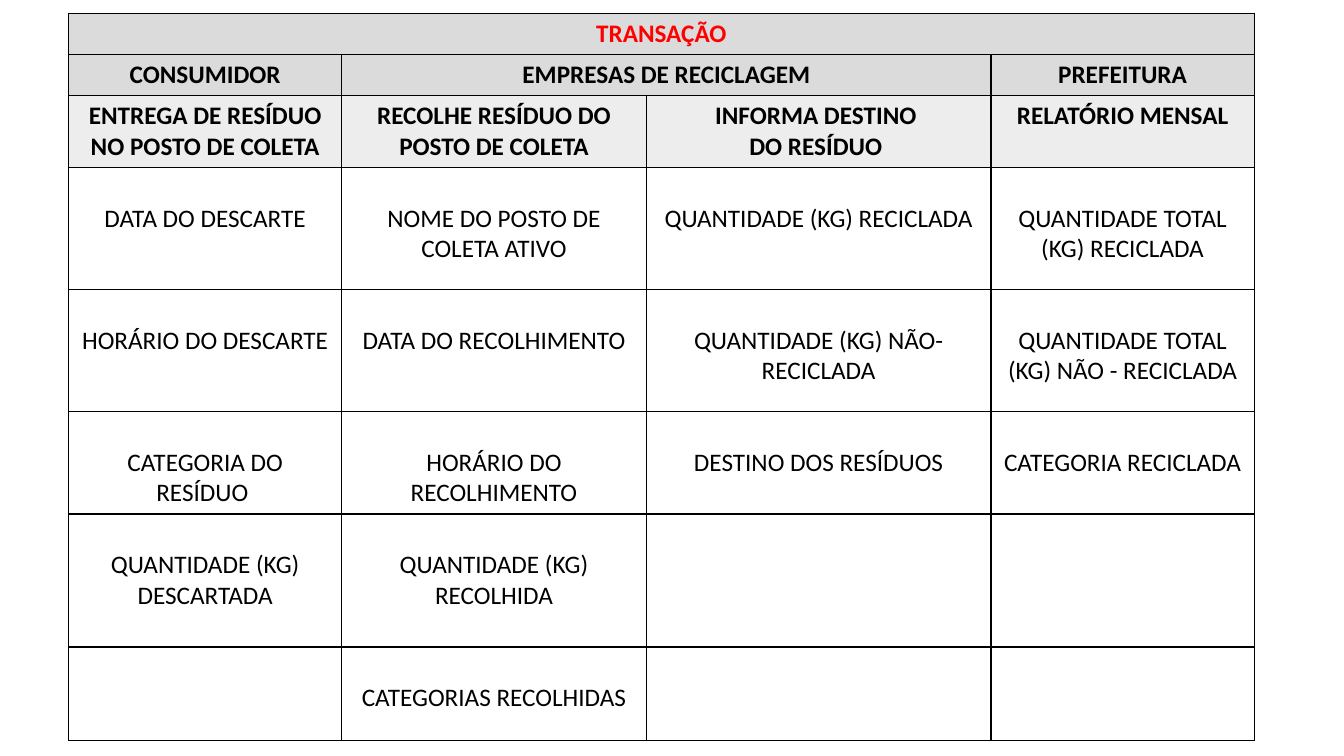
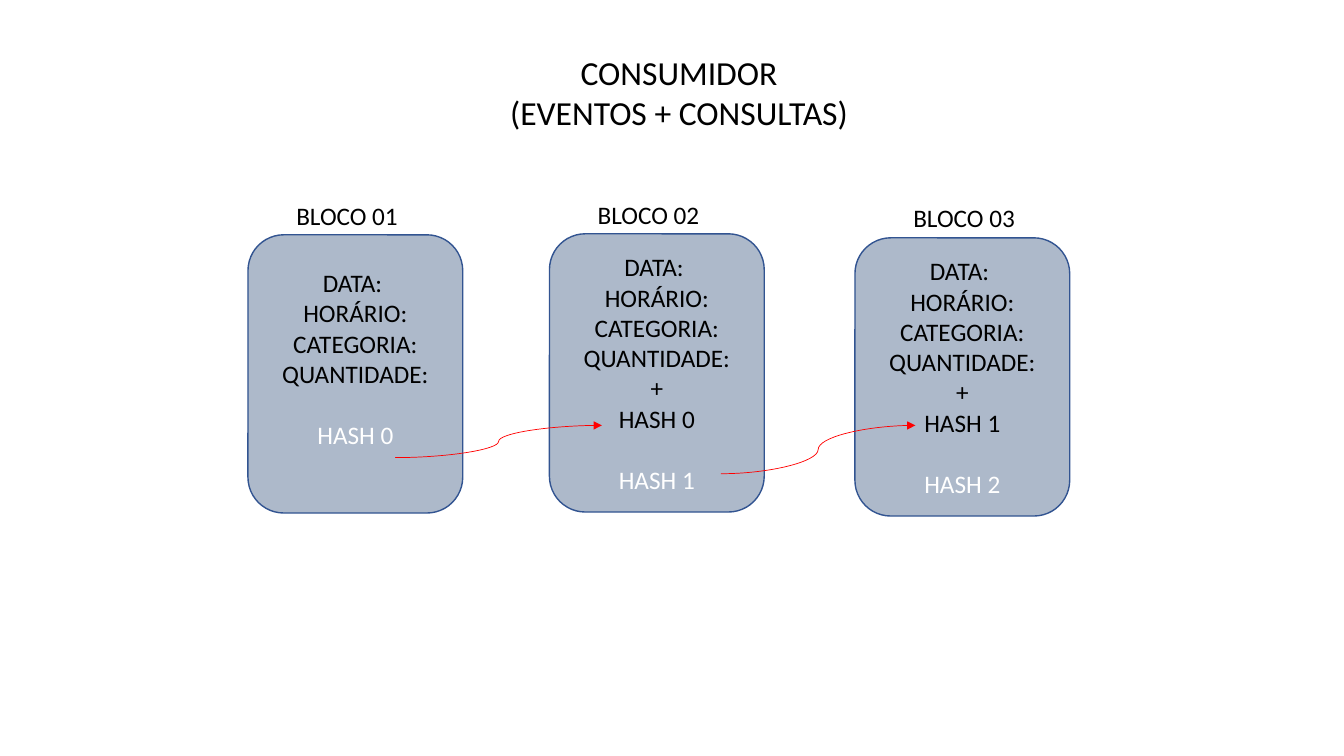
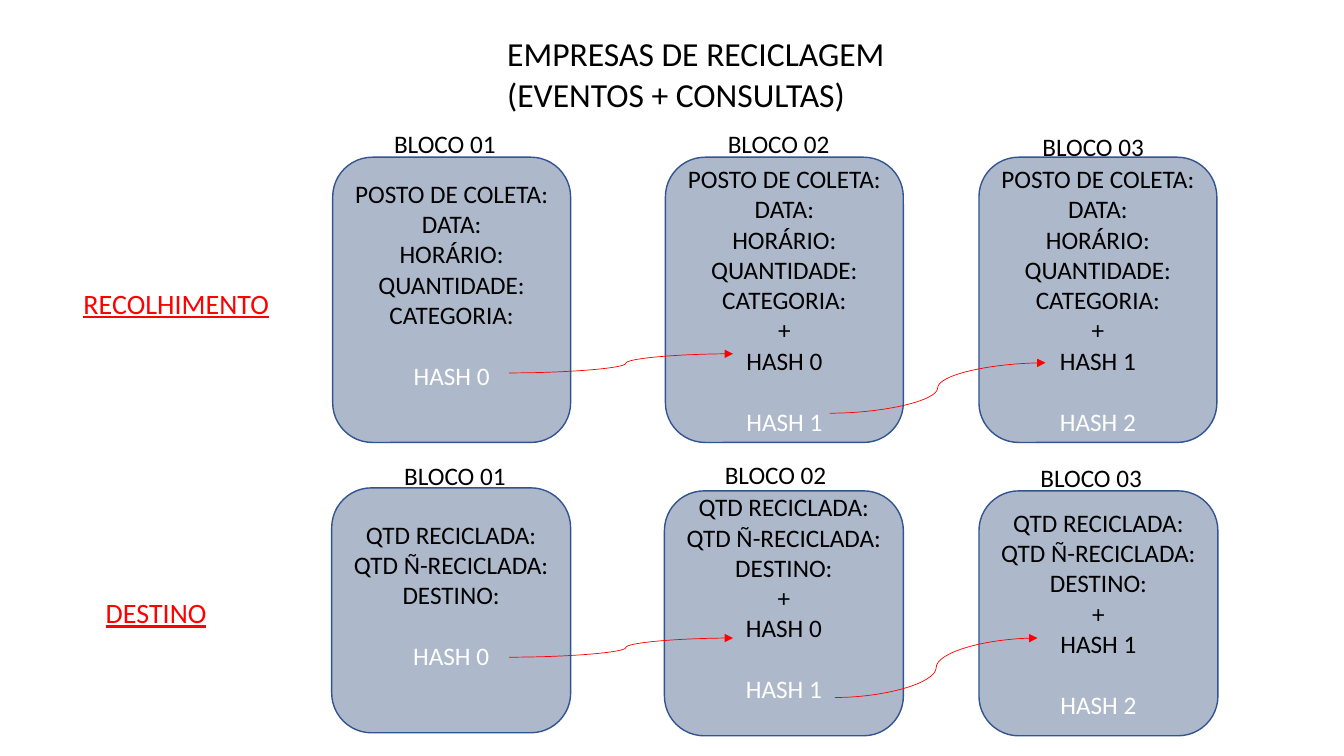
from lxml import etree
from pptx import Presentation
from pptx.dml.color import RGBColor
from pptx.enum.shapes import MSO_CONNECTOR, MSO_SHAPE
from pptx.enum.text import MSO_ANCHOR, PP_ALIGN
from pptx.oxml.ns import qn
from pptx.util import Inches, Pt

CURVE = MSO_CONNECTOR.CURVE
ROUNDED = MSO_SHAPE.ROUNDED_RECTANGLE
TOP, MIDDLE = MSO_ANCHOR.TOP, MSO_ANCHOR.MIDDLE
LEFT, CENTER = PP_ALIGN.LEFT, PP_ALIGN.CENTER
BLACK, WHITE, RED = "000000", "FFFFFF", "FF0000"
BLOCK_FILL, BLOCK_LINE = "ADB9CA", "325491"
HEADING_FILL, SUBHEADING_FILL = "DBDBDB", "EDEDED"
FONT = "Calibri"
LINE_HEIGHT = Pt(22)
INSET = Inches(0.05)


def color(value):
    return RGBColor.from_string(value)


def write(frame, lines, align=LEFT, ink=BLACK, frame_format=None, **font_format):
    for name, value in (frame_format or {}).items():
        setattr(frame, name, value)
    fonts = {"name": FONT, "size": Pt(18), **font_format}
    for index, line in enumerate(lines):
        paragraph = frame.paragraphs[0] if index == 0 else frame.add_paragraph()
        paragraph.alignment = align
        run = paragraph.add_run()
        run.text = line
        for name, value in fonts.items():
            setattr(run.font, name, value)
        run.font.color.rgb = color(ink)


deck = Presentation()
deck.slide_width, deck.slide_height = Inches(13.33), Inches(7.5)
title_only, blank = deck.slide_layouts[5], deck.slide_layouts[6]

column_widths = [2.71, 3.02, 3.42, 2.61]
row_heights = [0.41, 0.41, 0.7, 1.21, 1.21, 1.02, 1.32, 0.93]
transaction_rows = [
    ["TRANSAÇÃO", "", "", ""],
    ["CONSUMIDOR", "EMPRESAS DE RECICLAGEM", "", "PREFEITURA"],
    ["ENTREGA DE RESÍDUO NO POSTO DE COLETA", "RECOLHE RESÍDUO DO POSTO DE COLETA",
     "INFORMA DESTINO \nDO RESÍDUO ", "RELATÓRIO MENSAL"],
    ["DATA DO DESCARTE", "NOME DO POSTO DE COLETA ATIVO",
     "QUANTIDADE (KG) RECICLADA", "QUANTIDADE TOTAL (KG) RECICLADA"],
    ["HORÁRIO DO DESCARTE", "DATA DO RECOLHIMENTO",
     "QUANTIDADE (KG) NÃO- RECICLADA", "QUANTIDADE TOTAL (KG) NÃO - RECICLADA"],
    ["CATEGORIA DO RESÍDUO ", "HORÁRIO DO RECOLHIMENTO",
     "DESTINO DOS RESÍDUOS", "CATEGORIA RECICLADA"],
    ["QUANTIDADE (KG) DESCARTADA", "QUANTIDADE (KG) RECOLHIDA", "", ""],
    ["", "CATEGORIAS RECOLHIDAS", "", ""],
]
row_fills = [HEADING_FILL, HEADING_FILL, SUBHEADING_FILL]

transaction_slide = deck.slides.add_slide(blank)
transactions = transaction_slide.shapes.add_table(
    len(row_heights), len(column_widths), Inches(0.68), Inches(0.13),
    Inches(sum(column_widths)), Inches(sum(row_heights))).table
transactions.first_row = transactions.horz_banding = False
for column, width in zip(transactions.columns, column_widths):
    column.width = Inches(width)
for row, height in zip(transactions.rows, row_heights):
    row.height = Inches(height)
transactions.cell(0, 0).merge(transactions.cell(0, 3))
transactions.cell(1, 1).merge(transactions.cell(1, 2))

for row_index, texts in enumerate(transaction_rows):
    heading = row_index < len(row_fills)
    for column_index, text in enumerate(texts):
        cell = transactions.cell(row_index, column_index)
        properties = cell._tc.get_or_add_tcPr()
        for side in ("a:lnL", "a:lnR", "a:lnT", "a:lnB"):
            border = etree.SubElement(properties, qn(side), w=str(Pt(1)))
            border_fill = etree.SubElement(border, qn("a:solidFill"))
            etree.SubElement(border_fill, qn("a:srgbClr"), val=BLACK)
        if heading:
            cell.fill.solid()
            cell.fill.fore_color.rgb = color(row_fills[row_index])
        else:
            cell.fill.background()
            cell.margin_top = INSET + LINE_HEIGHT
        if text:
            write(cell.text_frame, text.split("\n"), CENTER,
                  RED if row_index == 0 else BLACK, bold=heading)

chain_slides = [
    {"title": ["CONSUMIDOR", "(EVENTOS + CONSULTAS)"],
     "title_at": (4.94, 0.46, 3.59, 0.91), "align": CENTER,
     "chains": [
         {"fields": ["DATA: ", "HORÁRIO:", "CATEGORIA:", "QUANTIDADE:"],
          "size": (2.13, 2.76), "spaced_below": [0],
          "blocks": [(2.46, 2.33), (5.45, 2.32), (8.48, 2.36)],
          "labels": [(2.84, 1.94), (5.83, 1.93), (8.96, 1.96)],
          "arrows": [(3.92, 4.54, 5.97, 4.22, 50000), (7.15, 4.7, 9.08, 4.22, 50000)]},
     ]},
    {"title": ["EMPRESAS DE RECICLAGEM", "(EVENTOS + CONSULTAS)"],
     "title_at": (4.93, 0.28, 3.98, 1.31), "align": LEFT,
     "chains": [
         {"event": "RECOLHIMENTO", "event_at": (0.73, 2.79, 2.17, 0.44),
          "fields": ["POSTO DE COLETA:", "DATA:", "HORÁRIO:", "QUANTIDADE:", "CATEGORIA:"],
          "size": (2.36, 2.83), "spaced_below": [0],
          "blocks": [(3.3, 1.56), (6.6, 1.56), (9.71, 1.56)],
          "labels": [(3.81, 1.22), (7.12, 1.22), (10.24, 1.25)],
          "arrows": [(5.05, 3.7, 7.27, 3.51, 52100), (8.23, 4.1, 10.37, 3.6, 50000)]},
         {"event": "DESTINO", "event_at": (0.95, 5.86, 1.37, 0.44),
          "fields": ["QTD RECICLADA:", "QTD Ñ-RECICLADA:", "DESTINO:"],
          "size": (2.37, 2.43), "spaced_below": [0, 1],
          "blocks": [(3.29, 4.84), (6.59, 4.87), (9.71, 4.87)],
          "labels": [(3.91, 4.52), (7.09, 4.51), (10.22, 4.54)],
          "arrows": [(5.05, 6.52, 7.27, 6.33, 52100), (8.28, 6.92, 10.29, 6.33, 50000)]},
     ]},
]

for content in chain_slides:
    slide = deck.slides.add_slide(title_only)
    shapes = slide.shapes
    title = shapes.title
    title.left, title.top, title.width, title.height = map(Inches, content["title_at"])
    write(title.text_frame, content["title"], content["align"],
          frame_format={"word_wrap": False, "vertical_anchor": TOP}, size=Pt(24))

    for chain in content["chains"]:
        for number, (position, label_position) in enumerate(zip(chain["blocks"], chain["labels"])):
            block = shapes.add_shape(ROUNDED, *map(Inches, position + chain["size"]))
            block.shadow.inherit = False
            block.fill.solid()
            block.fill.fore_color.rgb = color(BLOCK_FILL)
            block.line.color.rgb = color(BLOCK_LINE)
            block.line.width = Pt(1)
            previous_hash = ["+", f"HASH {number - 1}"] if number else []
            space_below = LINE_HEIGHT if number in chain["spaced_below"] else 0
            write(block.text_frame, chain["fields"] + previous_hash + [f"HASH {number}"], CENTER,
                  frame_format={"word_wrap": True, "vertical_anchor": MIDDLE,
                                "margin_bottom": INSET + space_below})
            own_hash = block.text_frame.paragraphs[-1]
            own_hash.space_before = LINE_HEIGHT
            own_hash.runs[0].font.color.rgb = color(WHITE)

            label = shapes.add_textbox(*map(Inches, label_position + (1.38, 0.4)))
            write(label.text_frame, [f"BLOCO {number + 1:02}"], frame_format={"word_wrap": True})

        for *ends, bend in chain["arrows"]:
            arrow = shapes.add_connector(CURVE, *map(Inches, ends))
            arrow.line.color.rgb = color(RED)
            arrow.line.width = Pt(0.5)
            etree.SubElement(arrow.line._get_or_add_ln(), qn("a:tailEnd"), type="triangle")
            arrow_properties = arrow._element.spPr
            etree.SubElement(arrow_properties, qn("a:effectLst"))
            guides = arrow_properties.find(".//" + qn("a:avLst"))
            etree.SubElement(guides, qn("a:gd"), name="adj1", fmla=f"val {bend}")

        if "event" in chain:
            event = shapes.add_textbox(*map(Inches, chain["event_at"]))
            write(event.text_frame, [chain["event"]], ink=RED,
                  frame_format={"word_wrap": True}, size=Pt(20), underline=True)

deck.save("out.pptx")
